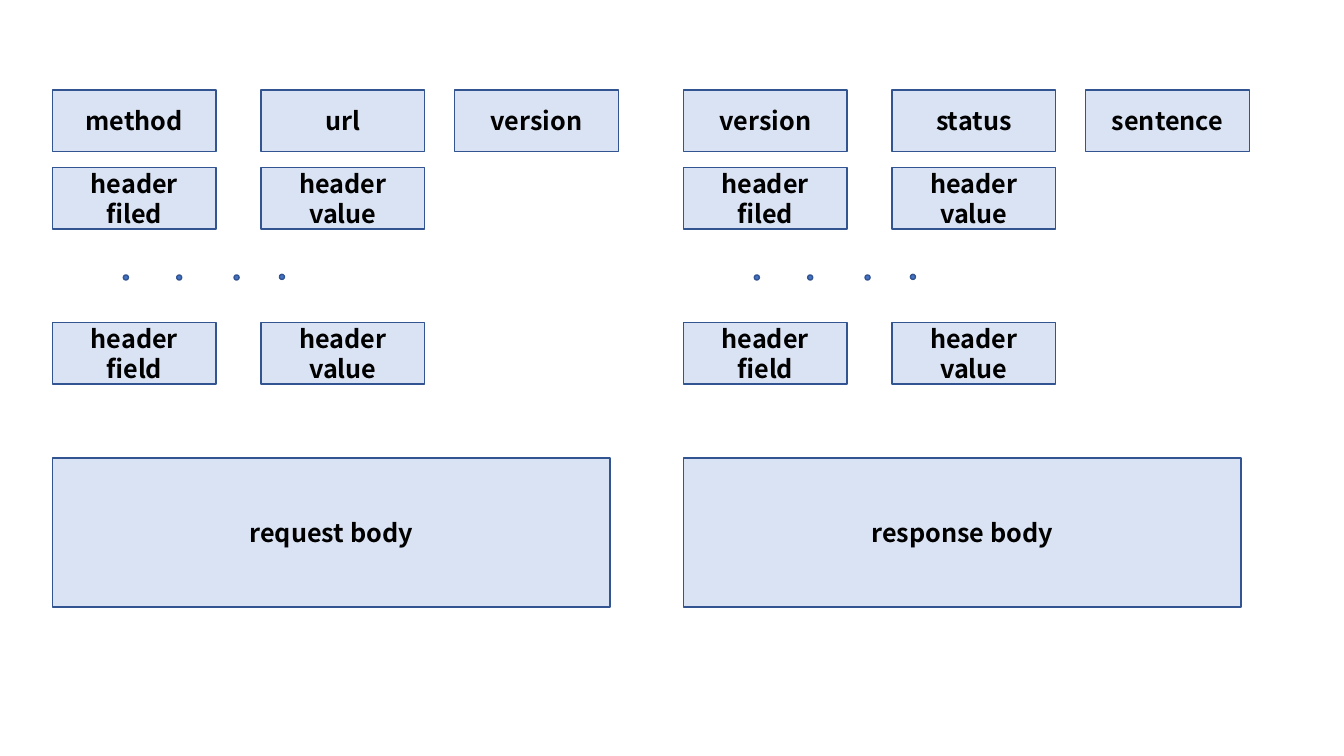
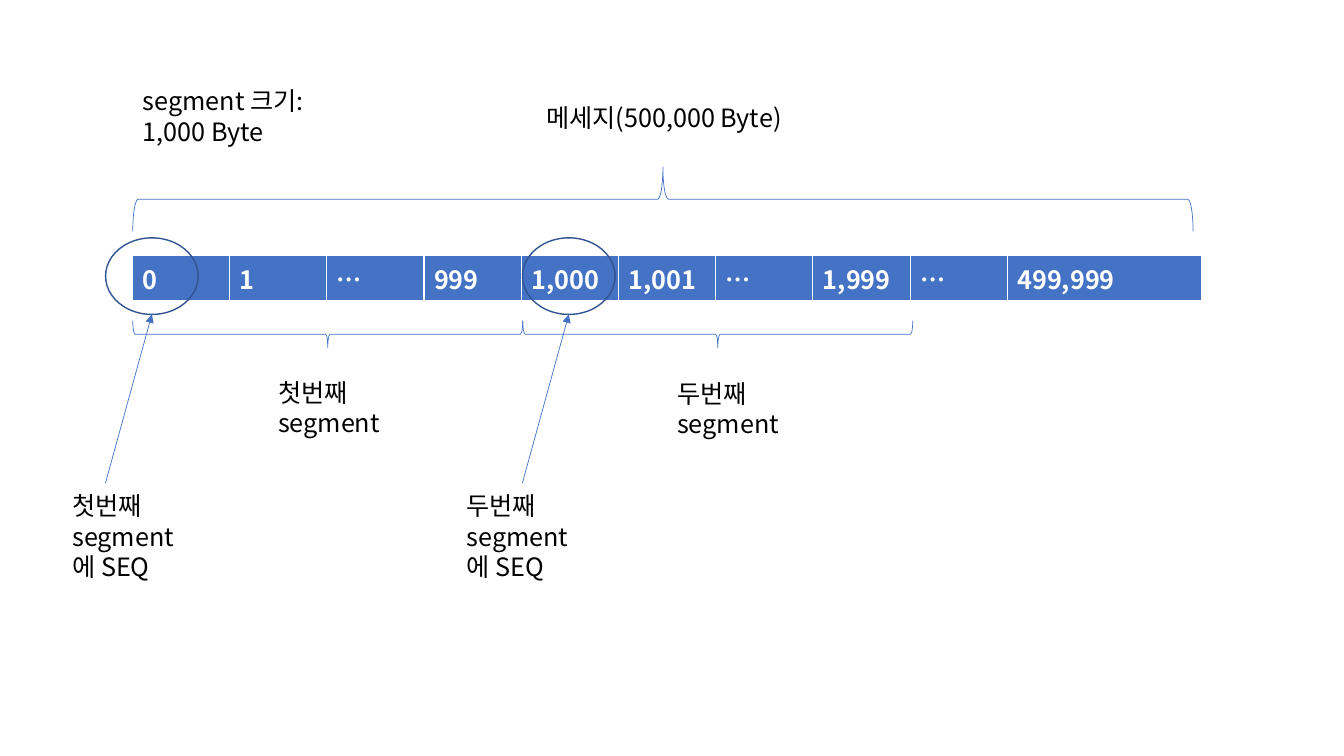
"""Build two slides: HTTP message layout and TCP segment numbering."""
from lxml import etree
from pptx import Presentation
from pptx.dml.color import RGBColor
from pptx.enum.shapes import MSO_CONNECTOR, MSO_SHAPE
from pptx.enum.text import MSO_ANCHOR, PP_ALIGN
from pptx.oxml.ns import qn
from pptx.util import Pt

FONT = "Noto Sans CJK KR"
BLUE, EDGE, PALE, BLACK, WHITE = "4472C4", "325491", "DAE3F3", "000000", "FFFFFF"

MESSAGES = [
    (37.5, ["method", "url", "version"], "request body"),
    (488.2, ["version", "status", "sentence"], "response body"),
]
HEADERS = [(119.5, ["header filed", "header value"]),
           (230.4, ["header field", "header value"])]
COLUMNS = [0, 149, 287.3]
BOX_W, BOX_H, START_Y = 116.9, 44, 64.2
BODY_Y, BODY_W, BODY_H = 327, 398.2, 106.6
DOTS = [(50.6, 196.4), (88.7, 196.4), (129.7, 196.4), (162.1, 196)]
DOT = 3.6

BYTES = ["0", "1", "…", "999", "1,000", "1,001", "…", "1,999", "…", "499,999"]
BYTE_X, BYTE_Y, BYTE_W, BYTE_H = 94.5, 182.2, 69.45, 29.5
BRACES = [
    (MSO_SHAPE.LEFT_BRACE, 94.8, 119.3, 757.4, 46),
    (MSO_SHAPE.RIGHT_BRACE, 94.8, 229, 278.6, 19.4),
    (MSO_SHAPE.RIGHT_BRACE, 373.4, 229, 278.6, 19.4),
]
LABELS = [
    (383, 69.8, 193.7, 29, ["메세지(500,000 Byte)"]),
    (191.5, 265.7, 131, 51, ["첫번째 segment"]),
    (476.6, 266.4, 131, 51, ["두번째 segment"]),
    (44.6, 347, 93.6, 72.7, ["첫번째", "segment에 SEQ"]),
    (326.2, 347, 93.6, 72.7, ["두번째", "segment에 SEQ"]),
    (95, 57.6, 145.4, 51, ["segment 크기: 1,000 Byte"]),
]
RINGS = [75.4, 373.2]
RING_Y, RING_W, RING_H, ARROW_Y = 169.9, 66.2, 54.7, 344.9


def rgb(code):
    """Turn a hex string into a colour."""
    return RGBColor.from_string(code)


def write(tf, lines, color=BLACK, bold=False, align=PP_ALIGN.LEFT):
    """Fill a text frame with one paragraph per line."""
    for i, line in enumerate(lines):
        p = tf.add_paragraph() if i else tf.paragraphs[0]
        p.alignment = align
        r = p.add_run()
        r.text = line
        for name, value in dict(name=FONT, size=Pt(18), bold=bold).items():
            setattr(r.font, name, value)
        r.font.color.rgb = rgb(color)
        etree.SubElement(r.font._element, qn("a:ea"), typeface=FONT)


def add_shape(s, kind, x, y, w, h, fill=None, line=EDGE, weight=1):
    """Add a preset shape without a shadow."""
    sp = s.shapes.add_shape(kind, Pt(x), Pt(y), Pt(w), Pt(h))
    sp.shadow.inherit = False
    if fill:
        sp.fill.solid()
        sp.fill.fore_color.rgb = rgb(fill)
    else:
        sp.fill.background()
    sp.line.color.rgb = rgb(line)
    sp.line.width = Pt(weight)
    return sp


def add_box(s, x, y, text, w=BOX_W, h=BOX_H):
    """Add a pale box with a bold centred label."""
    sp = add_shape(s, MSO_SHAPE.RECTANGLE, x, y, w, h, PALE)
    sp.text_frame.vertical_anchor = MSO_ANCHOR.MIDDLE
    write(sp.text_frame, [text], bold=True, align=PP_ALIGN.CENTER)


def add_label(s, x, y, w, h, lines):
    """Add a plain wrapping text box."""
    tf = s.shapes.add_textbox(Pt(x), Pt(y), Pt(w), Pt(h)).text_frame
    tf.word_wrap = True
    write(tf, lines)


def add_brace(s, kind, x, y, w, h):
    """Add a brace turned to lie over the area x, y, w, h."""
    sp = add_shape(s, kind, x + (w - h) / 2, y + (h - w) / 2, h, w,
                   line=BLUE, weight=0.5)
    sp.rotation = 90


def add_arrow(s, x1, y1, x2, y2):
    """Add a thin line with an arrowhead at its end."""
    c = s.shapes.add_connector(MSO_CONNECTOR.STRAIGHT, Pt(x1), Pt(y1), Pt(x2), Pt(y2))
    c.line.color.rgb = rgb(BLUE)
    c.line.width = Pt(0.5)
    etree.SubElement(c.line._get_or_add_ln(), qn("a:tailEnd"), type="triangle")
    etree.SubElement(c._element.spPr, qn("a:effectLst"))


def add_border(cell):
    """Draw white cell borders, heavier at the bottom."""
    tcPr = cell._tc.get_or_add_tcPr()
    for i, (side, width) in enumerate(dict(L=1, R=1, T=1, B=3).items()):
        ln = etree.Element(qn(f"a:ln{side}"), w=str(Pt(width)))
        fill = etree.SubElement(ln, qn("a:solidFill"))
        etree.SubElement(fill, qn("a:srgbClr"), val=WHITE)
        tcPr.insert(i, ln)


def build_messages(s):
    """Lay out the request and the response side by side."""
    for left, start, body in MESSAGES:
        for y, names in [(START_Y, start), *HEADERS]:
            for dx, name in zip(COLUMNS, names):
                add_box(s, left + dx, y, name)
        add_box(s, left, BODY_Y, body, BODY_W, BODY_H)
        for dx, y in DOTS:
            add_shape(s, MSO_SHAPE.OVAL, left + dx, y, DOT, DOT, BLUE)


def build_segments(s):
    """Lay out the byte row with its braces, rings and labels."""
    count = len(BYTES)
    table = s.shapes.add_table(1, count, Pt(BYTE_X), Pt(BYTE_Y),
                               Pt(BYTE_W * (count + 1)), Pt(BYTE_H)).table
    for i, text in enumerate(BYTES):
        table.columns[i].width = Pt(BYTE_W * (2 if i == count - 1 else 1))
        cell = table.cell(0, i)
        cell.fill.solid()
        cell.fill.fore_color.rgb = rgb(BLUE)
        add_border(cell)
        write(cell.text_frame, [text], WHITE, True)
    for brace in BRACES:
        add_brace(s, *brace)
    for x in RINGS:
        add_shape(s, MSO_SHAPE.OVAL, x, RING_Y, RING_W, RING_H)
        add_arrow(s, x, ARROW_Y, x + RING_W / 2, RING_Y + RING_H)
    for label in LABELS:
        add_label(s, *label)


prs = Presentation()
prs.slide_width, prs.slide_height = Pt(960), Pt(540)
for build in (build_messages, build_segments):
    build(prs.slides.add_slide(prs.slide_layouts[6]))
prs.save("out.pptx")
